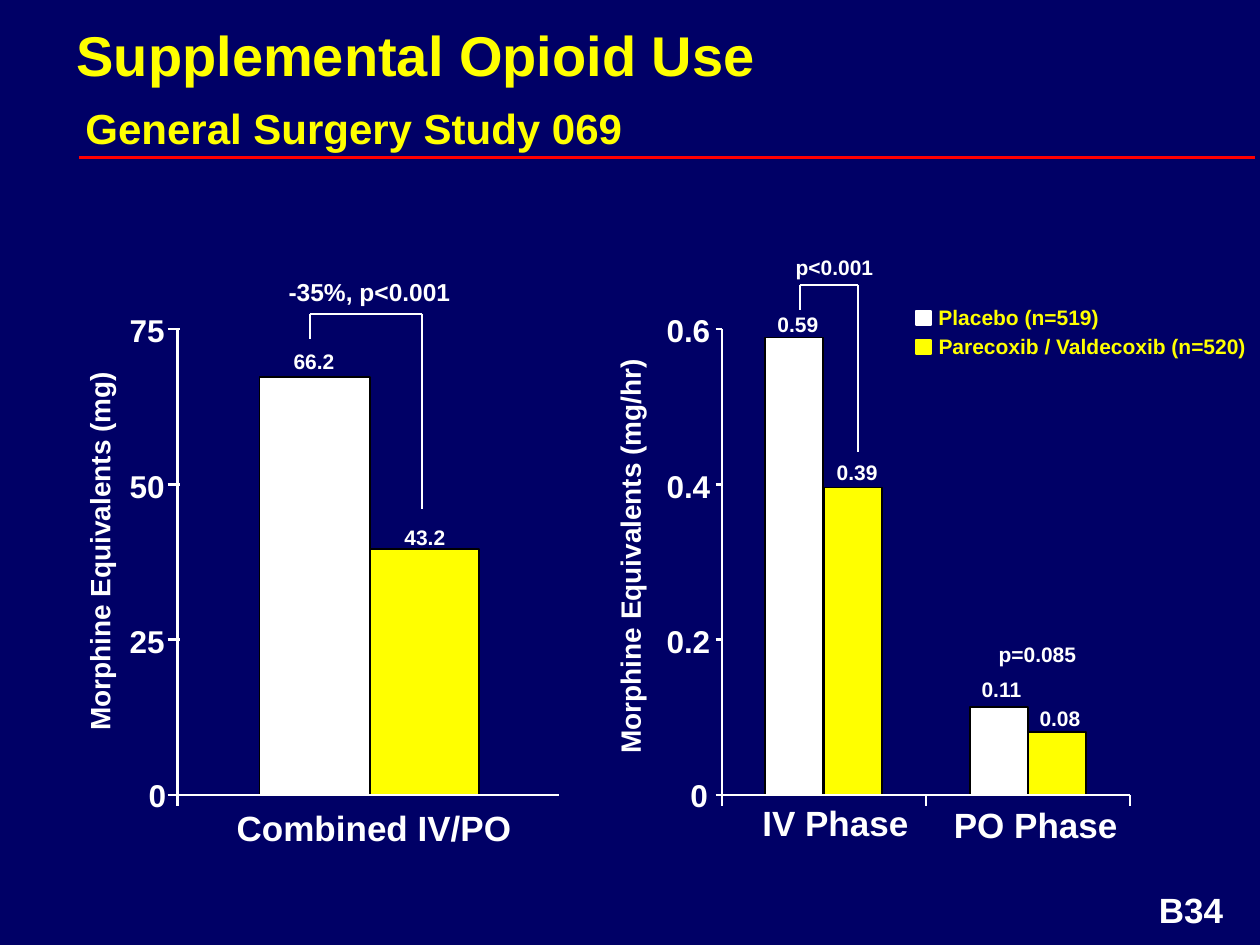
from lxml.etree import SubElement
from pptx import Presentation
from pptx.dml.color import RGBColor
from pptx.enum.shapes import MSO_CONNECTOR, MSO_SHAPE
from pptx.enum.text import MSO_ANCHOR, PP_ALIGN
from pptx.oxml.ns import qn
from pptx.util import Inches, Pt

COLORS = {"background": "000066", "white": "FFFFFF", "yellow": "FFFF00", "red": "FF0000", "black": "000000"}
BASELINE = 6.31
TICK_GAP = 1.233

presentation = Presentation()
presentation.slide_width = Inches(10)
presentation.slide_height = Inches(7.5)
slide = presentation.slides.add_slide(presentation.slide_layouts[6])
slide.background.fill.solid()
slide.background.fill.fore_color.rgb = RGBColor.from_string(COLORS["background"])


def add_text(text, left, top, width, height, size, color="white", inset=(0, 0), align=PP_ALIGN.LEFT, wrap=False):
    box = slide.shapes.add_textbox(Inches(left), Inches(top), Inches(width), Inches(height))
    text_frame = box.text_frame
    text_frame.word_wrap = wrap
    text_frame.margin_left = text_frame.margin_right = Inches(inset[0])
    text_frame.margin_top = text_frame.margin_bottom = Inches(inset[1])
    text_frame.text = text
    for paragraph in text_frame.paragraphs:
        paragraph.alignment = align
        for run in paragraph.runs:
            run.font.name = "Arial"
            run.font.size = Pt(size)
            run.font.bold = True
            run.font.color.rgb = RGBColor.from_string(COLORS[color])
    return box


def add_line(start_x, start_y, end_x, end_y, width=1.5, color="white"):
    line = slide.shapes.add_connector(
        MSO_CONNECTOR.STRAIGHT, Inches(start_x), Inches(start_y), Inches(end_x), Inches(end_y))
    line.line.width = Pt(width)
    line.line.color.rgb = RGBColor.from_string(COLORS[color])
    SubElement(line._element.spPr, qn("a:effectLst"))


add_line(9.96, 1.25, 0.63, 1.25, 1.25, "red")
title = add_text("Supplemental Opioid Use\nGeneral Surgery Study 069",
                 0.51, 0.27, 8.8, 0.94, 32, "yellow", (0.1, 0), wrap=True)
title.text_frame.vertical_anchor = MSO_ANCHOR.BOTTOM
subtitle = title.text_frame.paragraphs[1]
subtitle._p.get_or_add_pPr().set("marL", str(Inches(0.07)))
subtitle.space_before = Pt(8)
subtitle.runs[0].font.size = Pt(24)

rectangles = [
    (2.06, 2.99, 0.88, BASELINE - 2.99, "white", "black"),
    (2.94, 4.36, 0.86, BASELINE - 4.36, "yellow", "black"),
    (6.07, 2.68, 0.46, BASELINE - 2.68, "white", "black"),
    (6.54, 3.87, 0.46, BASELINE - 3.87, "yellow", "black"),
    (7.7, 5.61, 0.46, BASELINE - 5.61, "white", "black"),
    (8.16, 5.81, 0.46, BASELINE - 5.81, "yellow", "black"),
    (7.27, 2.47, 0.12, 0.11, "white", "white"),
    (7.27, 2.7, 0.12, 0.11, "yellow", "yellow"),
]
for left, top, width, height, fill, outline in rectangles:
    shape = slide.shapes.add_shape(
        MSO_SHAPE.RECTANGLE, Inches(left), Inches(top), Inches(width), Inches(height))
    shape.shadow.inherit = False
    shape.fill.solid()
    shape.fill.fore_color.rgb = RGBColor.from_string(COLORS[fill])
    shape.line.color.rgb = RGBColor.from_string(COLORS[outline])
    shape.line.width = Pt(1)

axes = [
    (1.41, 4.44, (1.33, 1.43), [1.41], 1.18, 1.03, 0.3, ["0", "25", "50", "75"]),
    (5.73, 8.97, (5.68, 5.73), [5.73, 7.35, 8.97], 5.48, 5.29, 0.37, ["0", "0.2", "0.4", "0.6"]),
]
for left, right, tick, category_ticks, zero_left, label_left, label_width, labels in axes:
    add_line(left, 2.61, left, BASELINE)
    add_line(left, BASELINE, right, BASELINE)
    for x in category_ticks:
        add_line(x, BASELINE, x, 6.4)
    for index, label in enumerate(labels):
        y = BASELINE - index * TICK_GAP
        add_line(tick[0], y, tick[1], y)
        if index == 0:
            add_text(label, zero_left, y - 0.15, 0.16, 0.3, 18)
        else:
            add_text(label, label_left, y - 0.14, label_width, 0.3, 18)

for text, left, top in [("Morphine Equivalents (mg)", -1.09, 4.19), ("Morphine Equivalents (mg/hr)", 3.12, 4.23)]:
    axis_title = add_text(text, left, top, 3.76, 0.37, 16, inset=(0.1, 0.05), align=PP_ALIGN.CENTER, wrap=True)
    axis_title.rotation = 270

for text, left, top in [("66.2", 2.33, 2.77), ("43.2", 3.21, 4.16), ("0.59", 6.17, 2.47),
                        ("0.39", 6.64, 3.65), ("0.11", 7.79, 5.37), ("0.08", 8.25, 5.6)]:
    add_text(text, left, top, 0.35, 0.2, 12)

for left, right, top, left_end, right_end in [(2.46, 3.35, 2.49, 2.69, 4.04), (6.35, 6.81, 2.26, 2.46, 3.59)]:
    add_line(left, top, left, left_end, 1)
    add_line(left, top, right, top, 1)
    add_line(right, top, right, right_end, 1)

add_text("-35%, p<0.001", 2.29, 2.2, 1.32, 0.23, 14)
for text, left, top in [("p<0.001", 6.13, 1.97), ("p=0.085", 7.74, 5.04)]:
    add_text(text, left, top, 0.9, 0.3, 12, inset=(0.1, 0.05), align=PP_ALIGN.RIGHT)

add_text("Combined IV/PO", 1.78, 6.35, 2.42, 0.44, 20, inset=(0.1, 0.05))
add_text("IV Phase", 6.05, 6.36, 1.22, 0.33, 20)
add_text("PO Phase", 7.57, 6.38, 1.35, 0.33, 20)

add_text("Placebo (n=519)", 7.35, 2.37, 1.5, 0.3, 12, "yellow", (0.1, 0.05))
add_text("Parecoxib / Valdecoxib (n=520)", 7.35, 2.6, 2.65, 0.3, 12, "yellow", (0.1, 0.05))
add_text("B34", 9.1, 7, 0.9, 0.44, 20, inset=(0.1, 0.05), wrap=True)

presentation.save("out.pptx")
